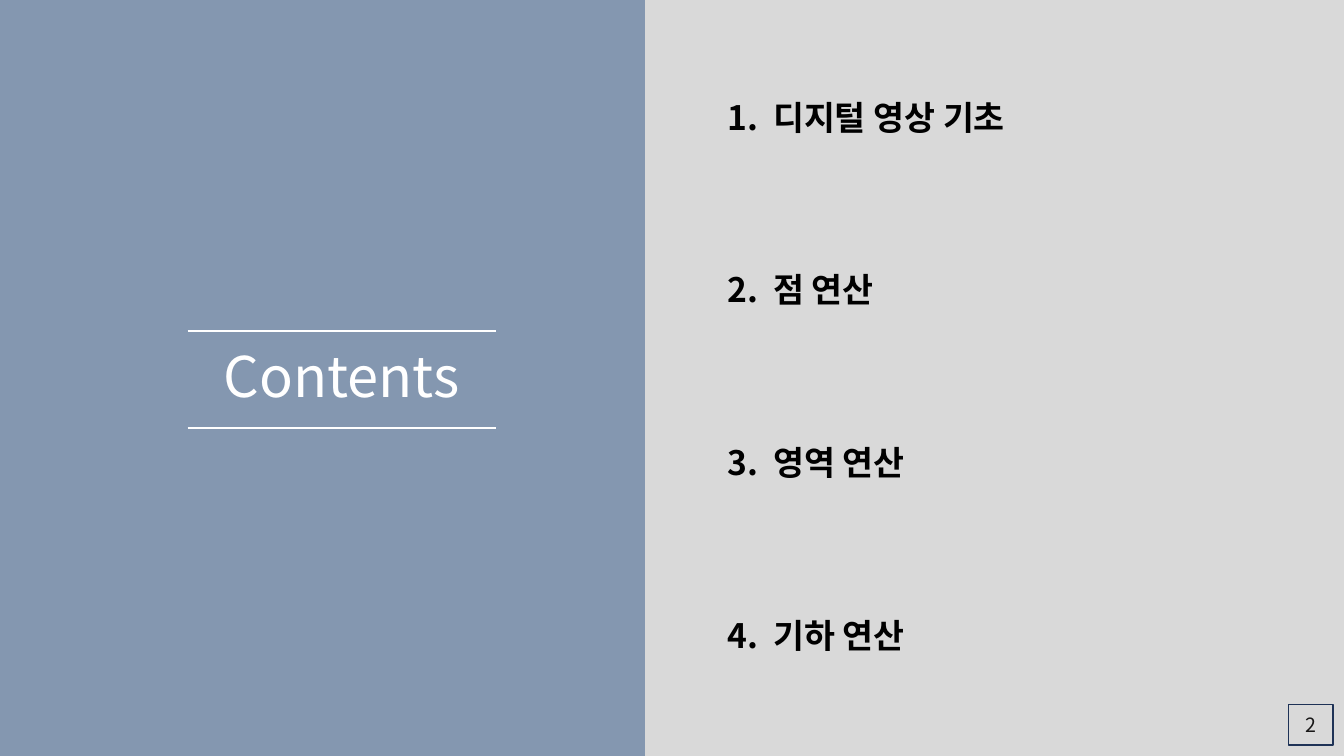
from dataclasses import dataclass

from lxml.etree import SubElement
from pptx import Presentation
from pptx.dml.color import RGBColor
from pptx.enum.shapes import MSO_CONNECTOR, MSO_SHAPE
from pptx.enum.text import MSO_ANCHOR, MSO_AUTO_SIZE, PP_ALIGN
from pptx.oxml.ns import qn
from pptx.util import Inches, Pt


@dataclass(frozen=True)
class Theme:
    font: str = "Noto Sans CJK KR"
    title_panel: RGBColor = RGBColor(0x84, 0x97, 0xB0)
    list_panel: RGBColor = RGBColor(0xD9, 0xD9, 0xD9)
    white: RGBColor = RGBColor(0xFF, 0xFF, 0xFF)
    black: RGBColor = RGBColor(0, 0, 0)
    number_border: RGBColor = RGBColor(0x1E, 0x32, 0x56)
    number_text: RGBColor = RGBColor(0x18, 0x17, 0x17)
    title_size: int = 40
    topic_size: int = 24
    number_size: int = 14


THEME = Theme()
TOPICS = ["디지털 영상 기초", "점 연산", "영역 연산", "기하 연산"]


def add_run(paragraph, text, size, color, bold=False):
    run = paragraph.add_run()
    run.text = text
    font = run.font
    font.size = Pt(size)
    font.bold = bold
    font.color.rgb = color
    font.name = THEME.font
    SubElement(run._r.get_or_add_rPr(), qn("a:ea"), typeface=THEME.font)


def add_rectangle(slide, left, top, width, height):
    shape = slide.shapes.add_shape(
        MSO_SHAPE.RECTANGLE, Inches(left), Inches(top), Inches(width), Inches(height))
    shape.shadow.inherit = False
    return shape


def add_panel(slide, left, top, width, height, color):
    panel = add_rectangle(slide, left, top, width, height)
    panel.fill.solid()
    panel.fill.fore_color.rgb = color
    panel.line.fill.background()


def add_rule(slide, left, top, width):
    rule = slide.shapes.add_connector(
        MSO_CONNECTOR.STRAIGHT, Inches(left), Inches(top), Inches(left + width), Inches(top))
    rule.line.color.rgb = THEME.white
    rule.line.width = Pt(1.5)
    SubElement(rule._element.spPr, qn("a:effectLst"))


def place_title(slide, left, top, width, height):
    """Set the title between two rules at the top and bottom of the box."""
    title = slide.shapes.title
    slide.shapes._spTree.append(title._element)  # in front of the panels
    title.left, title.top = Inches(left + 0.15), Inches(top + 0.06)
    title.width, title.height = Inches(width - 0.3), Inches(height - 0.2)
    frame = title.text_frame
    frame.word_wrap = True
    frame.auto_size = MSO_AUTO_SIZE.SHAPE_TO_FIT_TEXT
    frame.vertical_anchor = MSO_ANCHOR.TOP
    paragraph = frame.paragraphs[0]
    paragraph.alignment = PP_ALIGN.CENTER
    add_run(paragraph, "Contents", THEME.title_size, THEME.white)
    for rule_top in (top + height, top):
        add_rule(slide, left, rule_top, width)


def add_topics(slide, left, top, width, height):
    """Spread the numbered topics evenly from the top to the bottom of the box."""
    row_height = 0.5
    pitch = (height - row_height) / (len(TOPICS) - 1)
    for index, topic in enumerate(TOPICS):
        box = slide.shapes.add_textbox(
            Inches(left), Inches(top + index * pitch), Inches(width), Inches(row_height))
        frame = box.text_frame
        frame.word_wrap = True
        frame.auto_size = MSO_AUTO_SIZE.SHAPE_TO_FIT_TEXT
        paragraph = frame.paragraphs[0]
        tabs = SubElement(paragraph._p.get_or_add_pPr(), qn("a:tabLst"))
        SubElement(tabs, qn("a:tab"), pos=str(Inches(0.45)), algn="l")
        add_run(paragraph, f"{index + 1}.\t{topic}", THEME.topic_size, THEME.black, bold=True)


def add_page_number(slide, left, top, width, height, number):
    box = add_rectangle(slide, left, top, width, height)
    box.fill.background()
    box.line.color.rgb = THEME.number_border
    box.line.width = Pt(1)
    frame = box.text_frame
    frame.vertical_anchor = MSO_ANCHOR.MIDDLE
    paragraph = frame.paragraphs[0]
    paragraph.alignment = PP_ALIGN.CENTER
    add_run(paragraph, str(number), THEME.number_size, THEME.number_text)


def build_contents_slide(presentation):
    slide = presentation.slides.add_slide(presentation.slide_layouts[5])
    add_panel(slide, 0, 0, 6.91, 7.5, THEME.title_panel)
    add_panel(slide, 6.4, 0, 6.94, 7.5, THEME.list_panel)
    place_title(slide, 1.86, 3.28, 3.06, 0.97)
    add_topics(slide, 7.12, 0.91, 4.5, 5.64)
    add_page_number(slide, 12.78, 6.99, 0.44, 0.4, 2)


def main():
    presentation = Presentation()
    presentation.slide_width = Inches(13.33)
    presentation.slide_height = Inches(7.5)
    build_contents_slide(presentation)
    presentation.save("out.pptx")


if __name__ == "__main__":
    main()
